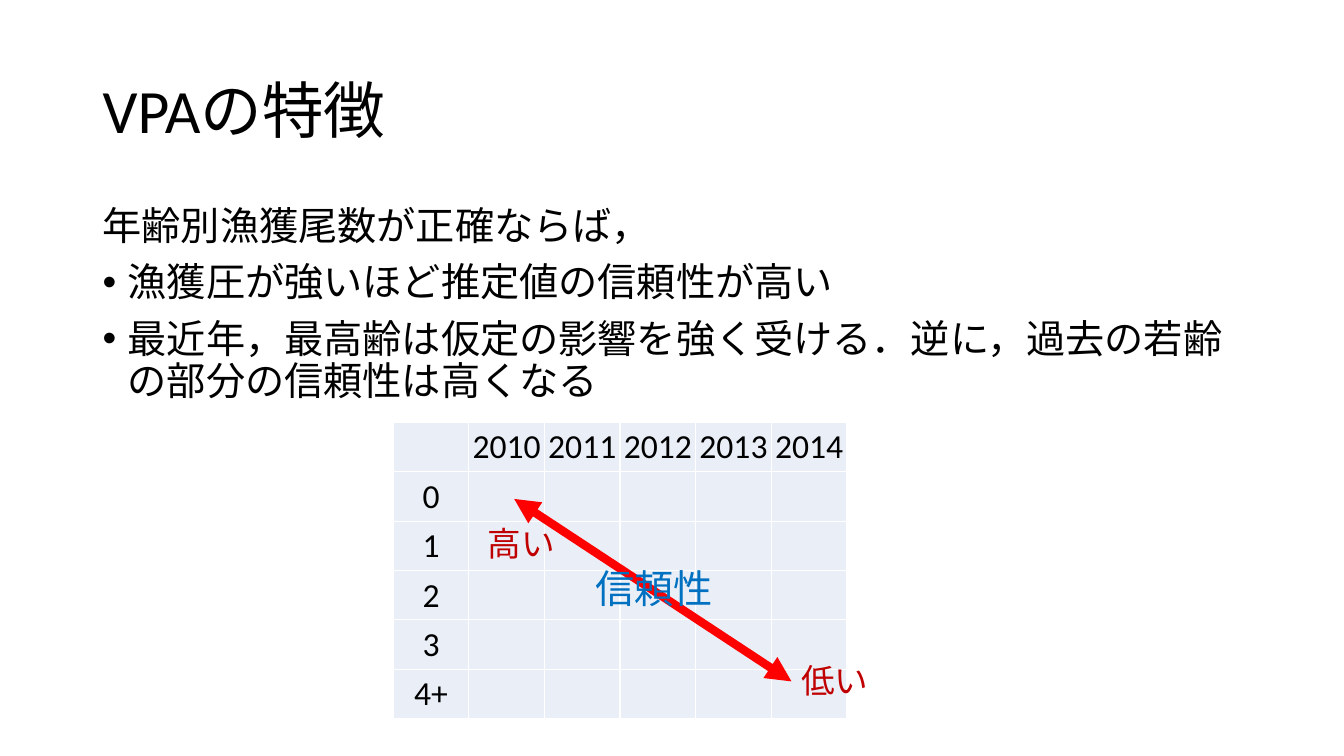
from typing import NamedTuple

from lxml import etree
from pptx import Presentation
from pptx import util as u
from pptx.dml.color import RGBColor
from pptx.enum import lang, shapes, text
from pptx.oxml import ns

FONT = "Calibri"
BLACK = RGBColor(0x00, 0x00, 0x00)
WHITE = RGBColor(0xFF, 0xFF, 0xFF)
PALE_BLUE = RGBColor(0xEA, 0xEF, 0xF7)
RED = RGBColor(0xFF, 0x00, 0x00)
DARK_RED = RGBColor(0xC0, 0x00, 0x00)
BLUE = RGBColor(0x00, 0x70, 0xC0)

YEARS = ["2010", "2011", "2012", "2013", "2014"]
AGES = ["0", "1", "2", "3", "4+"]
COLUMN_WIDTH, ROW_HEIGHT = 0.75, 0.49


class Line(NamedTuple):
    """One paragraph of a text block."""
    words: str
    bulleted: bool = False


class TextBlock(NamedTuple):
    """A text box, measured in inches and points."""
    left: float
    top: float
    width: float
    height: float
    lines: list[Line]
    size: int
    color: RGBColor = BLACK
    anchor: text.MSO_ANCHOR = text.MSO_ANCHOR.TOP
    line_spacing: float = 1.0
    space_before: int = 0


TEXT_BLOCKS = [
    TextBlock(0.92, 0.4, 11.5, 1.45, [Line("VPAの特徴")], 44,
              anchor=text.MSO_ANCHOR.MIDDLE, line_spacing=0.9),
    TextBlock(0.92, 2, 11.5, 4.76, [
        Line("年齢別漁獲尾数が正確ならば，"),
        Line("漁獲圧が強いほど推定値の信頼性が高い", True),
        Line("最近年，最高齢は仮定の影響を強く受ける．逆に，"
             "過去の若齢の部分の信頼性は高くなる", True),
    ], 28, line_spacing=0.9, space_before=10),
]
RELIABILITY_LABELS = [
    TextBlock(4.74, 5.14, 0.89, 0.5, [Line("高い")], 24, DARK_RED),
    TextBlock(7.85, 6.5, 0.92, 0.5, [Line("低い")], 24, DARK_RED),
    TextBlock(5.81, 5.55, 1.51, 0.57, [Line("信頼性")], 28, BLUE),
]


def add_run(paragraph, words: str, size: int, color: RGBColor) -> None:
    """Append a styled run to a paragraph."""
    run = paragraph.add_run()
    run.text = words
    run.font.name = FONT
    run.font.size = u.Pt(size)
    run.font.color.rgb = color
    run.font.language_id = lang.MSO_LANGUAGE_ID.JAPANESE


def add_bullet(paragraph) -> None:
    """Give a paragraph a round bullet with a hanging indent."""
    properties = paragraph._p.get_or_add_pPr()
    properties.set("marL", str(u.Inches(0.25)))
    properties.set("indent", str(u.Inches(-0.25)))
    etree.SubElement(properties, ns.qn("a:buFont"), typeface="Arial")
    etree.SubElement(properties, ns.qn("a:buChar"), char="•")


def add_text_block(slide, block: TextBlock) -> None:
    """Draw a text box with all its paragraphs."""
    shape = slide.shapes.add_textbox(u.Inches(block.left), u.Inches(block.top),
                                     u.Inches(block.width), u.Inches(block.height))
    frame = shape.text_frame
    frame.word_wrap = True
    frame.vertical_anchor = block.anchor
    for index, line in enumerate(block.lines):
        paragraph = frame.add_paragraph() if index else frame.paragraphs[0]
        paragraph.line_spacing = block.line_spacing
        paragraph.space_before = u.Pt(block.space_before)
        if line.bulleted:
            add_bullet(paragraph)
        add_run(paragraph, line.words, block.size, block.color)


def style_cell(cell) -> None:
    """Set the margins, white borders and fill of a cell."""
    cell.margin_left = cell.margin_right = cell.margin_top = u.Inches(0.01)
    cell.margin_bottom = 0
    cell.vertical_anchor = text.MSO_ANCHOR.MIDDLE
    properties = cell._tc.get_or_add_tcPr()
    for side in ("lnL", "lnR", "lnT", "lnB"):
        border = etree.SubElement(properties, ns.qn(f"a:{side}"), w=str(u.Pt(1)))
        fill = etree.SubElement(border, ns.qn("a:solidFill"))
        etree.SubElement(fill, ns.qn("a:srgbClr"), val=str(WHITE))
    cell.fill.solid()
    cell.fill.fore_color.rgb = PALE_BLUE


def add_age_table(slide) -> None:
    """Draw the table of ages by years, with empty inner cells."""
    rows = [["", *YEARS]] + [[age] + [""] * len(YEARS) for age in AGES]
    row_count, column_count = len(rows), len(rows[0])
    table = slide.shapes.add_table(
        row_count, column_count, u.Inches(3.9), u.Inches(4.19),
        u.Inches(COLUMN_WIDTH * column_count),
        u.Inches(ROW_HEIGHT * row_count)).table
    table.first_row = table.horz_banding = False
    for column in table.columns:
        column.width = u.Inches(COLUMN_WIDTH)
    for row_index, row in enumerate(rows):
        table.rows[row_index].height = u.Inches(ROW_HEIGHT)
        for column_index, words in enumerate(row):
            cell = table.cell(row_index, column_index)
            style_cell(cell)
            if words:
                paragraph = cell.text_frame.paragraphs[0]
                paragraph.alignment = text.PP_ALIGN.CENTER
                add_run(paragraph, words, 24, BLACK)


def add_reliability_arrow(slide) -> None:
    """Draw the double-headed arrow from high to low reliability."""
    arrow = slide.shapes.add_connector(
        shapes.MSO_CONNECTOR.STRAIGHT,
        u.Inches(5.1), u.Inches(4.95), u.Inches(7.85), u.Inches(6.76))
    arrow.line.color.rgb = RED
    arrow.line.width = u.Pt(6)
    line = arrow.line._get_or_add_ln()
    for end in ("headEnd", "tailEnd"):
        etree.SubElement(line, ns.qn(f"a:{end}"), type="triangle")
    etree.SubElement(arrow._element.spPr, ns.qn("a:effectLst"))


def main() -> None:
    """Build and save the slide."""
    presentation = Presentation()
    presentation.slide_width = u.Inches(13.33)
    presentation.slide_height = u.Inches(7.5)
    slide = presentation.slides.add_slide(presentation.slide_layouts[6])
    for block in TEXT_BLOCKS:
        add_text_block(slide, block)
    add_age_table(slide)
    add_reliability_arrow(slide)
    for label in RELIABILITY_LABELS:
        add_text_block(slide, label)
    presentation.save("out.pptx")


main()
